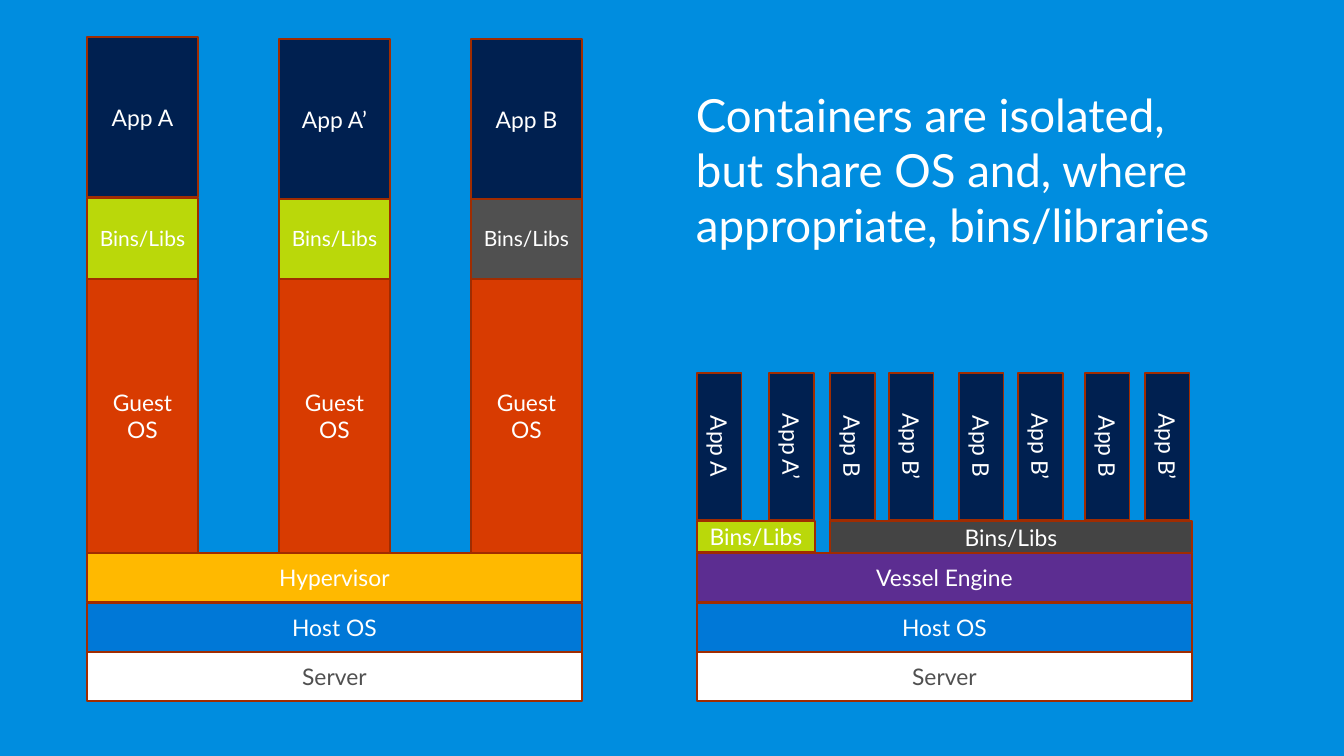
from pptx import Presentation
from pptx.dml.color import RGBColor as Rgb
from pptx.enum.shapes import MSO_SHAPE as Kind
from pptx.enum.text import MSO_ANCHOR as Anchor, PP_ALIGN as Align
from pptx.util import Emu, Pt

PX = 914400 / 100.8
INK = {
    "sky": "008DDF", "white": "FFFFFF", "edge": "A02C01", "text": "505050",
    "host": "0078D7", "gold": "FFB900", "plum": "5C2D91", "guest": "D83B01",
    "lime": "BAD80A", "gray": "505050", "dark": "444444", "navy": "002050",
}


def px(num):
    return Emu(round(num * PX))


def rgb(name):
    return Rgb.from_string(INK[name])


class Board:
    """Holds the slide and the shared style of its elements."""

    font = "Lato"

    def __init__(self, deck):
        self.slide = deck.slides.add_slide(deck.slide_layouts[6])
        fill = self.slide.background.fill
        fill.solid()
        fill.fore_color.rgb = rgb("sky")

    def label(self, frame, text, size, ink, pad):
        frame.word_wrap = True
        frame.margin_left, frame.margin_top, frame.margin_right, frame.margin_bottom = map(px, pad)
        para = frame.paragraphs[0]
        run = para.add_run()
        run.text = text
        run.font.name = self.font
        run.font.size = Pt(size)
        run.font.color.rgb = rgb(ink)
        return para

    def block(self, text, area, fill, size=16.3, ink="white", turn=False):
        box = self.slide.shapes.add_shape(Kind.RECTANGLE, *map(px, area))
        box.shadow.inherit = False
        box.fill.solid()
        box.fill.fore_color.rgb = rgb(fill)
        box.line.color.rgb = rgb("edge")
        box.line.width = Pt(0.85)
        frame = box.text_frame
        frame.vertical_anchor = Anchor.MIDDLE
        pad = (0, 5, 0, 5) if turn else (12, 0, 12, 0)
        self.label(frame, text, size, ink, pad).alignment = Align.CENTER
        if turn:
            frame._txBody.bodyPr.set("vert", "vert")

    def title(self, text, area):
        box = self.slide.shapes.add_textbox(*map(px, area))
        self.label(box.text_frame, text, 32.6, "white", (10, 5, 5, 5))


def main():
    deck = Presentation()
    deck.slide_width, deck.slide_height = px(1344), px(756)
    board = Board(deck)
    left, right, wide = 87, 697, 495

    for x, layer, fill in ((left, "Hypervisor", "gold"), (right, "Vessel Engine", "plum")):
        board.block("Server", (x, 652, wide, 49), "white", ink="text")
        board.block("Host OS", (x, 603, wide, 49), "host")
        board.block(layer, (x, 553, wide, 49), fill)

    towers = (("App A", 37, "lime"), ("App A’", 39, "lime"), ("App B", 39, "gray"))
    for num, (app, top, fill) in enumerate(towers):
        x = left + 192 * num
        board.block("Guest OS", (x, 279, 111, 274), "guest")
        board.block("Bins/Libs", (x, 198, 111, 81), fill, size=15)
        board.block(app, (x, top, 111, 160), "navy")

    board.block("Bins/Libs", (right, 521, 118, 31), "lime")
    board.block("Bins/Libs", (830, 521, 362, 32), "dark")
    apps = ["App A", "App A’"] + ["App B", "App B’"] * 3
    for app, x in zip(apps, (right, 769, 830, 889, 959, 1018, 1085, 1145)):
        board.block(app, (x, 373, 45, 147), "navy", turn=True)

    board.title("Containers are isolated, but share OS and, where appropriate, bins/libraries",
                (686, 82, 536, 176))
    deck.save("out.pptx")


if __name__ == "__main__":
    main()
